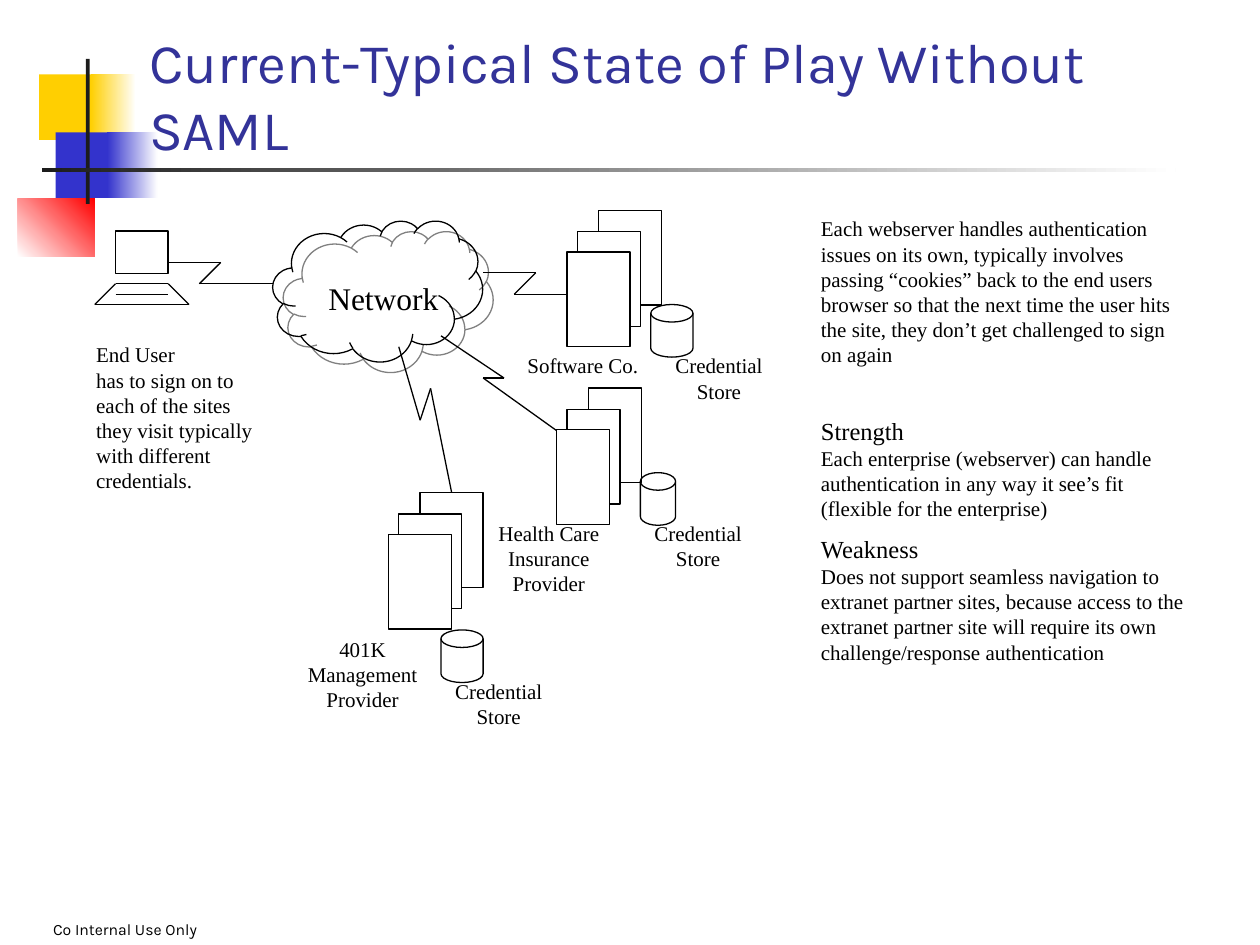
from lxml import etree
from pptx import Presentation
from pptx.dml.color import RGBColor
from pptx.enum.shapes import MSO_CONNECTOR, MSO_SHAPE
from pptx.enum.text import MSO_ANCHOR, MSO_AUTO_SIZE, PP_ALIGN
from pptx.oxml import parse_xml
from pptx.oxml.ns import nsdecls, qn
from pptx.util import Cm, Pt

RECTANGLE = MSO_SHAPE.RECTANGLE
DISK = MSO_SHAPE.FLOWCHART_MAGNETIC_DISK
CLOUD = MSO_SHAPE.CLOUD
STRAIGHT = MSO_CONNECTOR.STRAIGHT
LEFT, CENTER = PP_ALIGN.LEFT, PP_ALIGN.CENTER
BOTTOM = MSO_ANCHOR.BOTTOM
FIT_SHAPE, NO_FIT = MSO_AUTO_SIZE.SHAPE_TO_FIT_TEXT, MSO_AUTO_SIZE.NONE

BLACK = RGBColor(0x00, 0x00, 0x00)
WHITE = RGBColor(0xFF, 0xFF, 0xFF)
YELLOW = RGBColor(0xFF, 0xCF, 0x01)
BLUE = RGBColor(0x33, 0x33, 0xCC)
RED = RGBColor(0xFF, 0x00, 0x00)
CHARCOAL = RGBColor(0x1C, 0x1C, 0x1C)
TITLE_BLUE = RGBColor(0x33, 0x33, 0x99)
SERIF, SANS = "Times New Roman", "Karla"

presentation = Presentation()
presentation.slide_width = Cm(25.4)
presentation.slide_height = Cm(19.05)
slide = presentation.slides.add_slide(presentation.slide_layouts[5])


def add_shape(kind, left, top, width, height, fill=None, outlined=True):
    shape = slide.shapes.add_shape(kind, Cm(left), Cm(top), Cm(width), Cm(height))
    shape.shadow.inherit = False
    if fill is None:
        shape.fill.background()
    else:
        shape.fill.solid()
        shape.fill.fore_color.rgb = fill
    if outlined:
        shape.line.color.rgb = BLACK
        shape.line.width = Pt(0.75)
    else:
        shape.line.fill.background()
    return shape


def add_text(text, left, top, width, height, size=12, alignment=CENTER, font=SERIF):
    box = slide.shapes.add_textbox(Cm(left), Cm(top), Cm(width), Cm(height))
    text_frame = box.text_frame
    text_frame.word_wrap = True
    text_frame.auto_size = FIT_SHAPE
    text_frame.text = text
    for paragraph in text_frame.paragraphs:
        paragraph.alignment = alignment
        for run in paragraph.runs:
            run.font.size = Pt(size)
            run.font.name = font
            run.font.color.rgb = BLACK
    return text_frame


decorations = [
    (0.79, 1.5, 1.22, 1.32, YELLOW, None, 0),
    (1.83, 1.5, 0.91, 1.32, YELLOW, WHITE, 0),
    (1.12, 2.67, 1.17, 1.32, BLUE, None, 0),
    (2.16, 2.67, 1.02, 1.32, BLUE, WHITE, 0),
    (0.36, 4.01, 1.55, 1.17, WHITE, RED, 45),
    (1.73, 1.19, 0.08, 2.92, CHARCOAL, None, 0),
    (0.84, 3.38, 22.86, 0.08, CHARCOAL, WHITE, 0),
]
for left, top, width, height, start, end, angle in decorations:
    shape = add_shape(RECTANGLE, left, top, width, height, start, outlined=False)
    if end is not None:
        shape.fill.gradient()
        shape.fill.gradient_angle = angle
        for stop, color, position in zip(shape.fill.gradient_stops, (start, end), (0, 1)):
            stop.color.rgb = color
            stop.position = position

title = slide.shapes.title
title.element.getparent().append(title.element)
title.left, title.top, title.width, title.height = Cm(2.75), Cm(1.27), Cm(22.23), Cm(2.12)
title.text_frame.text = "Current-Typical State of Play Without SAML"
title.text_frame.word_wrap = True
title.text_frame.auto_size = NO_FIT
title.text_frame.vertical_anchor = BOTTOM
title_paragraph = title.text_frame.paragraphs[0]
title_paragraph.alignment = LEFT
title_font = title_paragraph.runs[0].font
title_font.size = Pt(32)
title_font.name = SANS
title_font.color.rgb = TITLE_BLUE

footer = add_text("Co Internal Use Only", 0, 17.78, 8.05, 1.27, 9, LEFT, SANS)
footer.auto_size = NO_FIT
footer.vertical_anchor = BOTTOM
footer.margin_left = Cm(1.07)

add_text(
    "Each webserver handles authentication issues on its own, typically involves "
    "passing “cookies” back to the end users browser so that the next time the user "
    "hits the site, they don’t get challenged to sign on again",
    16.3, 4.23, 7.83, 3.3, alignment=LEFT)
assessment = add_text(
    "Strength\vEach enterprise (webserver) can handle authentication in any way it "
    "see’s fit (flexible for the enterprise)\n"
    "Weakness\vDoes not support seamless navigation to extranet partner sites, because "
    "access to the extranet partner site will require its own challenge/response "
    "authentication",
    16.3, 8.26, 7.83, 5.26, alignment=LEFT)
for paragraph in assessment.paragraphs:
    paragraph.runs[0].font.size = Pt(14)
assessment.paragraphs[1].space_before = Pt(7.5)

add_shape(RECTANGLE, 2.33, 4.66, 1.06, 0.85)
cloud = add_shape(CLOUD, 5.5, 4.45, 4.23, 2.84)
effects = cloud.element.spPr.find(qn("a:effectLst"))
effects.append(parse_xml(
    f'<a:outerShdw {nsdecls("a")} dist="107950" dir="2700000" algn="ctr" rotWithShape="0">'
    '<a:srgbClr val="808080"/></a:outerShdw>'))

stack_offsets = [(0.64, -0.84, None), (0.21, -0.41, WHITE), (0, 0, WHITE)]
server_stacks = [(11.43, 5.08, 1.27), (11.22, 8.66, 1.07), (7.83, 10.77, 1.27)]
back_servers = []
for left, top, width in server_stacks:
    servers = [add_shape(RECTANGLE, left + dx, top + dy, width, 1.91, fill)
               for dx, dy, fill in stack_offsets]
    back_servers.append(servers[0])

for left, top, width in [(13.12, 6.14, 0.85), (12.91, 9.53, 0.71), (8.89, 12.7, 0.85)]:
    add_shape(DISK, left, top, width, 1.06)

polylines = [
    [(2.33, 5.72), (3.39, 5.72), (3.81, 6.14), (1.91, 6.14), (2.33, 5.72)],
    [(2.33, 5.93), (3.39, 5.93)],
    [(3.39, 5.29), (4.45, 5.29), (4.02, 5.72), (5.5, 5.72)],
    [(9.74, 5.5), (10.8, 5.5), (10.37, 5.93), (11.43, 5.93)],
    [(8.89, 6.77), (10.16, 7.62), (9.74, 7.62), (11.22, 8.68)],
    [(8.04, 6.99), (8.47, 8.47), (8.68, 7.83), (9.1, 9.93)],
]
for points in polylines:
    for (x1, y1), (x2, y2) in zip(points, points[1:]):
        connector = slide.shapes.add_connector(STRAIGHT, Cm(x1), Cm(y1), Cm(x2), Cm(y2))
        connector.line.color.rgb = BLACK
        connector.line.width = Pt(0.75)
        etree.SubElement(connector.element.spPr, qn("a:effectLst"))
connector.end_connect(back_servers[2], 0)

add_text("Software Co.", 10.16, 6.99, 3.18, 0.76)
add_text("Health Care Insurance Provider", 9.74, 10.37, 2.65, 1.78)
add_text("401K Management Provider", 5.72, 12.7, 3.18, 1.78)
add_text("Network", 5.72, 5.5, 4.02, 1.02, size=18)
for left, top in [(8.68, 13.55), (12.7, 10.37), (13.12, 6.99)]:
    add_text("Credential\vStore", left, top, 2.75, 1.27)
add_text(
    "End User\vhas to sign on to each of the sites they visit typically with "
    "different credentials.",
    1.69, 6.77, 3.81, 3.3, alignment=LEFT)

presentation.save("out.pptx")
